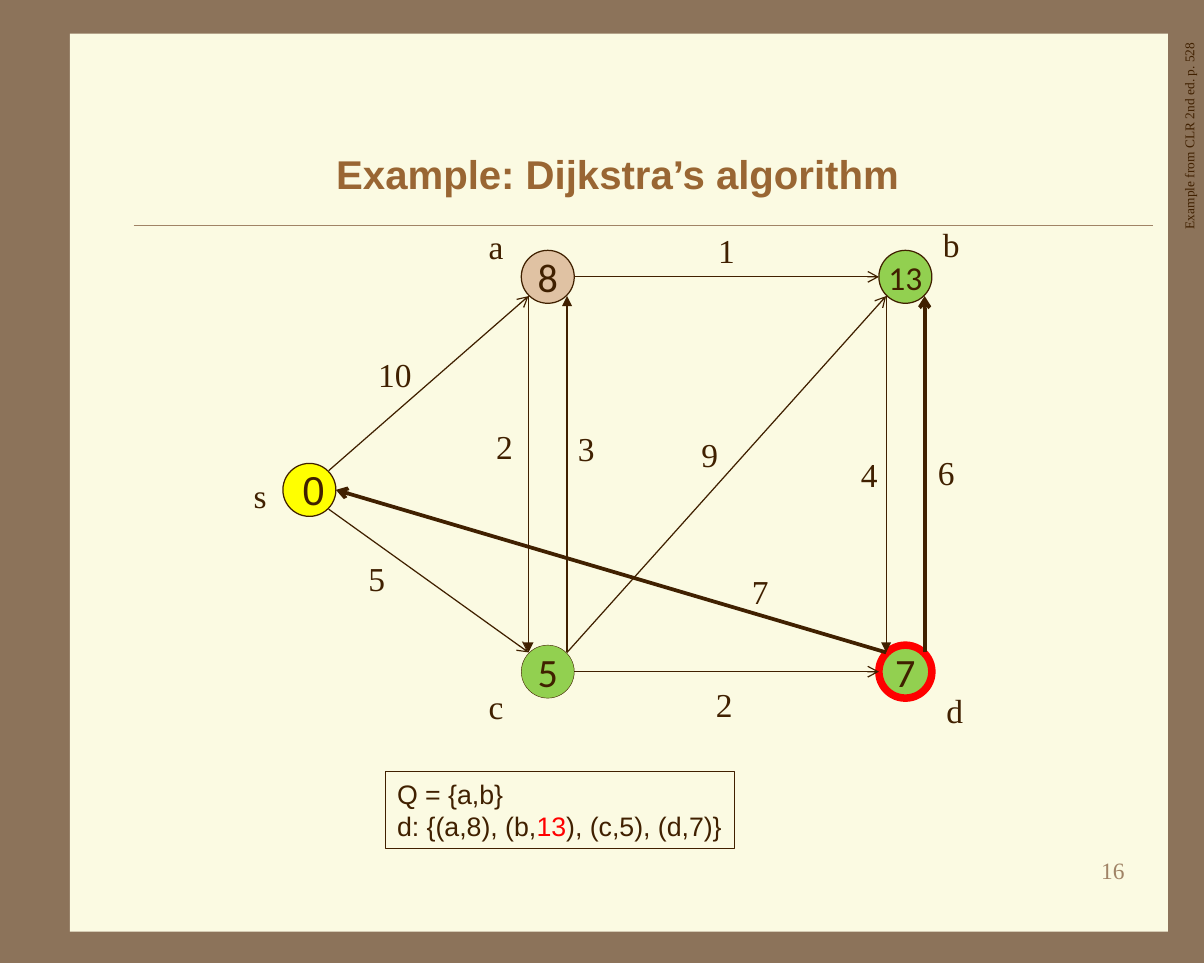
import lxml.etree
import pptx
import pptx.dml.color
import pptx.enum.shapes
import pptx.enum.text
import pptx.oxml.ns
import pptx.util

RGBColor = pptx.dml.color.RGBColor
Inches = pptx.util.Inches
Pt = pptx.util.Pt
Shape = pptx.enum.shapes.MSO_SHAPE
Align = pptx.enum.text.PP_ALIGN
Anchor = pptx.enum.text.MSO_ANCHOR

FRAME = RGBColor(0x8C, 0x73, 0x5A)
PANEL = RGBColor(0xFB, 0xFA, 0xE2)
RULE = RGBColor(0xA0, 0x83, 0x66)
INK = RGBColor(0x40, 0x20, 0x00)
TITLE = RGBColor(0x99, 0x66, 0x33)
YELLOW = RGBColor(0xFF, 0xFF, 0x00)
TAN = RGBColor(0xE0, 0xC2, 0xA3)
GREEN = RGBColor(0x92, 0xD0, 0x50)
RED = RGBColor(0xFF, 0x00, 0x00)

WIDTH, HEIGHT = 10, 8
COLUMNS = (2.57, 4.55, 7.52)
ROWS = (2.3, 4.07, 5.58)
DIAMETER = 0.44
SIDE = DIAMETER / 2
DIAGONAL = 0.16  # SIDE times the cosine of 45 degrees
LABEL_SIZE = (0.48, 0.44)

# name: (column, row, distance, fill, outline, outline width, format, label offset)
NODES = {
    "s": (0, 1, "0", YELLOW, INK, 0.75, {"font": "Arial", "margins": (0.1, 0.05)}, (-0.41, 0.05)),
    "a": (1, 0, "8", TAN, INK, 0.75, {}, (-0.43, -0.25)),
    "c": (1, 2, "5", GREEN, INK, 0.25, {}, (-0.43, 0.29)),
    "b": (2, 0, "13", GREEN, INK, 0.75, {"size": 20}, (0.38, -0.27)),
    "d": (2, 2, "7", GREEN, RED, 4.5, {}, (0.41, 0.32)),
}

PORTS = {
    "left": (-SIDE, 0),
    "right": (SIDE, 0),
    "top left": (-DIAGONAL, -DIAGONAL),
    "top right": (DIAGONAL, -DIAGONAL),
    "bottom left": (-DIAGONAL, DIAGONAL),
    "bottom right": (DIAGONAL, DIAGONAL),
}

# start, its port, end, its port, weight, label offset from midpoint, line width, head
EDGES = (
    ("s", "top right", "a", "bottom left", "10", (-0.28, -0.07), 0.75, "arrow"),
    ("s", "bottom right", "c", "top left", "5", (-0.43, -0.02), 0.75, "arrow"),
    ("a", "right", "b", "left", "1", (0, -0.22), 0.75, "arrow"),
    ("c", "right", "d", "left", "2", (-0.02, 0.27), 0.75, "arrow"),
    ("c", "top right", "b", "bottom left", "9", (-0.14, -0.16), 0.75, "arrow"),
    ("d", "top left", "s", "right", "7", (1.24, 0.17), 2.25, "arrow"),
    ("c", "top right", "a", "bottom right", "3", (0.16, -0.21), 0.75, "triangle"),
    ("a", "bottom left", "c", "top left", "2", (-0.2, -0.23), 0.75, "triangle"),
    ("d", "top right", "b", "bottom right", "6", (0.18, -0.01), 2.25, "arrow"),
    ("b", "bottom left", "d", "top left", "4", (-0.14, 0), 0.75, "triangle"),
)


def write_text(shape, text, *, size=20, font="Times New Roman", color=INK, bold=False,
               align=Align.CENTER, anchor=Anchor.TOP, margins=(0.1, 0.05), wrap=True,
               highlight=None):
    """Write one paragraph per line; the highlight string becomes red."""
    frame = shape.text_frame
    frame.auto_size = pptx.enum.text.MSO_AUTO_SIZE.NONE
    frame.word_wrap = wrap
    frame.vertical_anchor = anchor
    frame.margin_left = frame.margin_right = Inches(margins[0])
    frame.margin_top = frame.margin_bottom = Inches(margins[1])
    for index, line in enumerate(text.split("\n")):
        paragraph = frame.paragraphs[0] if index == 0 else frame.add_paragraph()
        paragraph.alignment = align
        for part in line.partition(highlight) if highlight else (line,):
            if part:
                run = paragraph.add_run()
                run.text = part
                run.font.size = Pt(size)
                run.font.name = font
                run.font.bold = bold
                run.font.color.rgb = RED if part == highlight else color


def add_shape(slide, kind, box, *, fill=None, line=None, width=0.75):
    shape = slide.shapes.add_shape(kind, *map(Inches, box))
    shape.shadow.inherit = False
    if fill is None:
        shape.fill.background()
    else:
        shape.fill.solid()
        shape.fill.fore_color.rgb = fill
    if line is None:
        shape.line.fill.background()
    else:
        shape.line.color.rgb = line
        shape.line.width = Pt(width)
    return shape


def add_text(slide, box, text, **text_format):
    shape = slide.shapes.add_textbox(*map(Inches, box))
    write_text(shape, text, **text_format)
    return shape


def add_line(slide, start, end, color, width, head=None):
    connector = slide.shapes.add_connector(
        pptx.enum.shapes.MSO_CONNECTOR.STRAIGHT, *map(Inches, (*start, *end)))
    connector.line.color.rgb = color
    connector.line.width = Pt(width)
    if head:
        lxml.etree.SubElement(connector.line._get_or_add_ln(),
                              pptx.oxml.ns.qn("a:tailEnd"), type=head)
    lxml.etree.SubElement(connector._element.spPr, pptx.oxml.ns.qn("a:effectLst"))


def shift(point, offset):
    return point[0] + offset[0], point[1] + offset[1]


def centered_box(center, width, height):
    return center[0] - width / 2, center[1] - height / 2, width, height


def node_center(name):
    column, row = NODES[name][:2]
    return COLUMNS[column], ROWS[row]


def add_label(slide, center, text):
    add_text(slide, centered_box(center, *LABEL_SIZE), text, wrap=False)


def add_node(slide, name):
    _, _, distance, fill, outline, width, text_format, offset = NODES[name]
    center = node_center(name)
    circle = add_shape(slide, Shape.OVAL, centered_box(center, DIAMETER, DIAMETER),
                       fill=fill, line=outline, width=width)
    defaults = {"size": 24, "font": "Calibri", "margins": (0, 0), "anchor": Anchor.MIDDLE}
    write_text(circle, distance, **(defaults | text_format))
    add_label(slide, shift(center, offset), name)


def add_edge(slide, start, start_port, end, end_port, weight, offset, width, head):
    first = shift(node_center(start), PORTS[start_port])
    last = shift(node_center(end), PORTS[end_port])
    add_line(slide, first, last, INK, width, head)
    middle = (first[0] + last[0]) / 2, (first[1] + last[1]) / 2
    add_label(slide, shift(middle, offset), weight)


def add_title(slide, text):
    title = slide.shapes.title
    title.left, title.top, title.width, title.height = map(Inches, (0.88, 1.01, 8.5, 0.87))
    write_text(title, text, size=24, font="Arial", color=TITLE, bold=True,
               anchor=Anchor.MIDDLE)


def main():
    presentation = pptx.Presentation()
    presentation.slide_width, presentation.slide_height = Inches(WIDTH), Inches(HEIGHT)
    slide = presentation.slides.add_slide(presentation.slide_layouts[5])
    slide.background.fill.solid()
    slide.background.fill.fore_color.rgb = FRAME

    panel = add_shape(slide, Shape.RECTANGLE, (0.58, 0.28, 9.12, 7.46), fill=PANEL)
    slide.shapes._spTree.insert(2, panel._element)  # behind the title
    add_line(slide, (1.11, 1.87), (9.58, 1.87), RULE, 0.25)
    add_title(slide, "Example: Dijkstra’s algorithm")

    for name in NODES:
        add_node(slide, name)
    for edge in EDGES:
        add_edge(slide, *edge)

    state = add_shape(slide, Shape.RECTANGLE, (3.2, 6.41, 2.9, 0.64), line=INK)
    write_text(state, "Q = {a,b}\nd: {(a,8), (b,13), (c,5), (d,7)}", size=16, font="Arial",
               align=Align.LEFT, wrap=False, highlight="13")
    add_text(slide, (7.36, 7.06, 2.08, 0.5), "16", size=14, color=RULE, align=Align.RIGHT)
    source = add_text(slide, centered_box((9.88, 1.77), 3.03, 0.24),
                      "Example from CLR 2nd ed. p. 528", size=8, align=Align.RIGHT)
    source.rotation = 270
    presentation.save("out.pptx")


if __name__ == "__main__":
    main()
